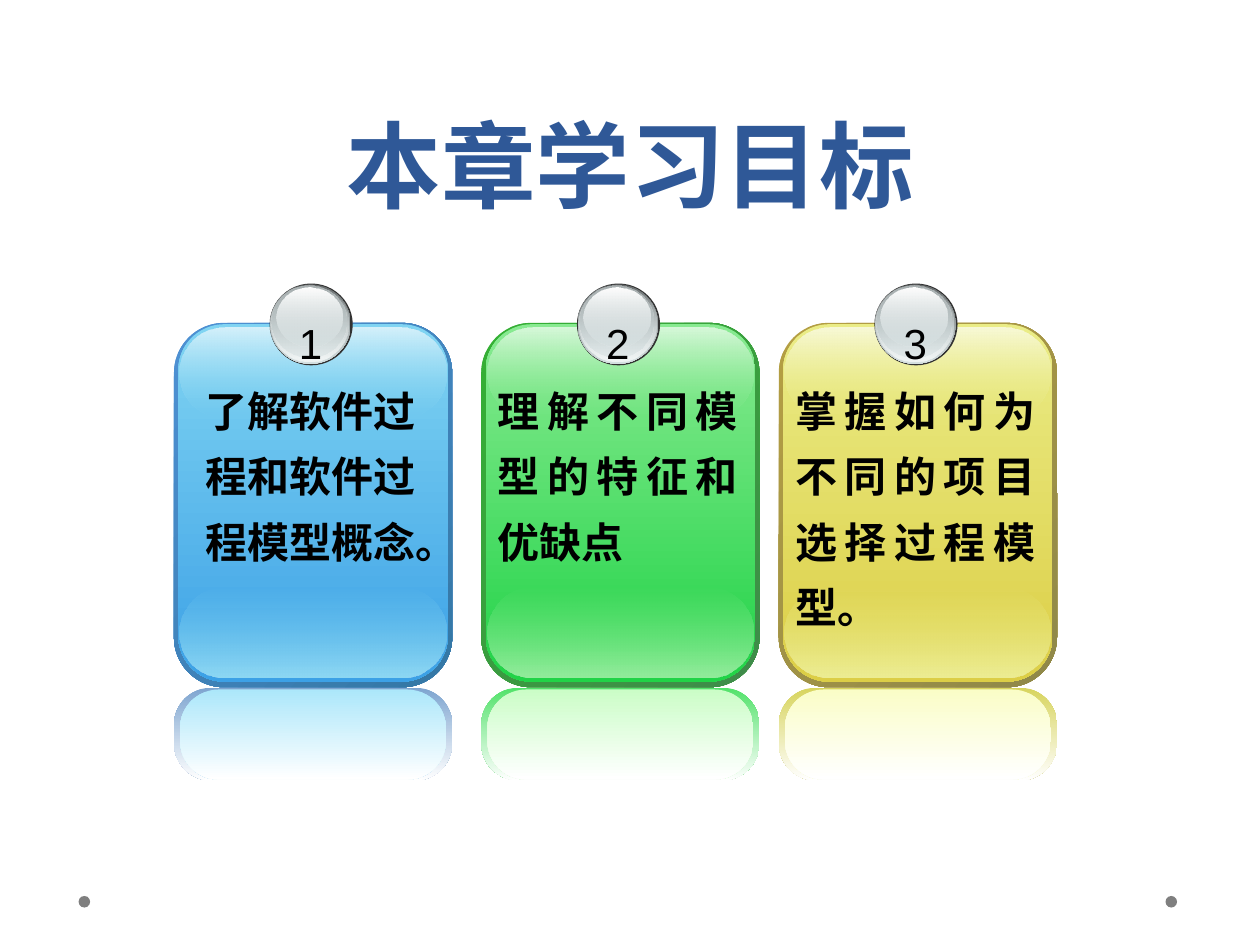
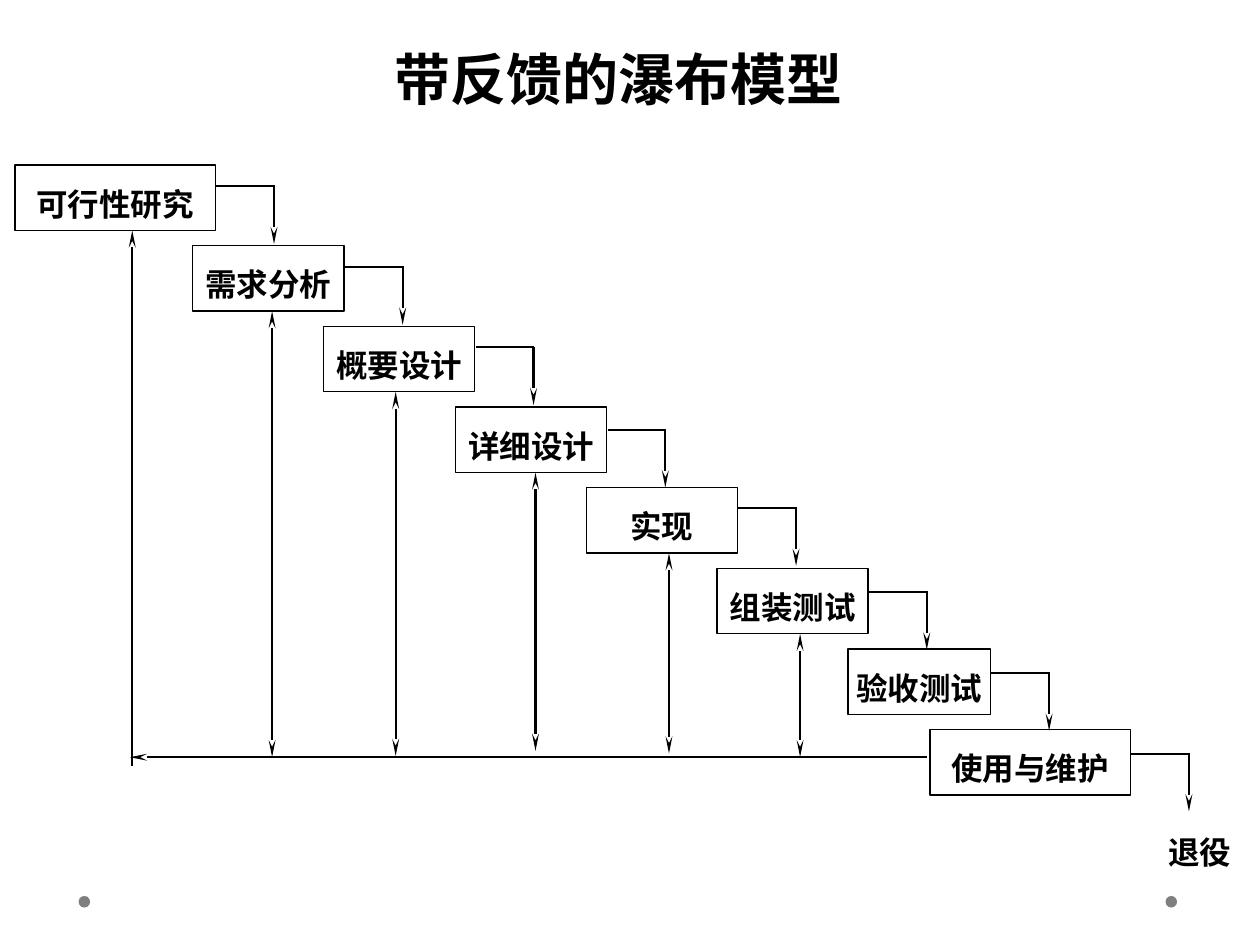
from typing import NamedTuple

from lxml import etree
from pptx import Presentation
from pptx.dml.color import RGBColor
from pptx.enum import shapes, text
from pptx.oxml.ns import qn
from pptx.util import Pt

WHITE = RGBColor(0xFF, 0xFF, 0xFF)
BLACK = RGBColor(0, 0, 0)
NAVY = RGBColor(0x2F, 0x58, 0x97)
GREY = RGBColor(0x7F, 0x7F, 0x7F)
RIM = RGBColor(0x33, 0x33, 0x33)
STEEL = RGBColor(0x63, 0x68, 0x69)
ASH = RGBColor(0xAA, 0xB2, 0xB3)
MIST = RGBColor(0xD6, 0xE1, 0xE2)
PEARL = RGBColor(0xF1, 0xF5, 0xF5)

ROUND = shapes.MSO_SHAPE.ROUNDED_RECTANGLE
OVAL = shapes.MSO_SHAPE.OVAL
RECT = shapes.MSO_SHAPE.RECTANGLE
LEFT, MID, JUST = (text.PP_ALIGN.LEFT, text.PP_ALIGN.CENTER,
                   text.PP_ALIGN.JUSTIFY)
SERIF = "Times New Roman"


class Box(NamedTuple):
    left: float
    top: float
    wide: float
    high: float

    def move(self, dx: float, dy: float = 0) -> "Box":
        return self._replace(left=self.left + dx, top=self.top + dy)

    def size(self) -> list:
        return [Pt(round(v, 2)) for v in self]


class Blend(NamedTuple):
    """Two-colour gradient; alphas in percent, angle clockwise."""
    start: RGBColor
    end: RGBColor
    clear: tuple = (100, 100)
    angle: int = 90


class Style(NamedTuple):
    size: float
    font: str
    color: RGBColor = BLACK
    bold: bool = True
    align: text.PP_ALIGN = MID
    space: float | Pt = 1.3


class Card(NamedTuple):
    left: float
    words: str
    font: str
    align: text.PP_ALIGN
    edge: tuple
    face: tuple
    foot: RGBColor
    shine: RGBColor
    echo: tuple


class Stage(NamedTuple):
    """One step; back and end place its feedback line."""
    name: str
    left: float
    wide: float
    drop: float
    back: float = 0
    end: float = 0


def tint(*codes: str) -> tuple:
    return tuple(RGBColor.from_string(c) for c in codes)


CARDS = [
    Card(99.4, "了解软件过程和软件过程模型概念。", "Noto Sans CJK SC", MID,
         tint("4E91D4", "3477A4"), tint("80D4F2", "3CA1E6"),
         *tint("8FD9F4", "D5F1FB"), tint("7EA5D0", "ACE7FA")),
    Card(275, "理解不同模型的特征和优缺点", "Courier New", JUST,
         tint("34B034", "3F8B4A"), tint("88EA91", "21D347"),
         *tint("96ED9E", "D7F8DA"), tint("52E26A", "CBFDC7")),
    Card(445, "掌握如何为不同的项目选择过程模型。", "Courier New", JUST,
         tint("B59F43", "8F8849"), tint("EAEC86", "DCCE46"),
         *tint("EDEE95", "F8F9D7"), tint("D7D45D", "FAFDC7")),
]

BALL = [
    (Box(54.7, 162, 47.5, 46.8), RIM),
    (Box(55, 162.5, 46, 45.4), Blend(STEEL, MIST)),
    (Box(55.4, 162.7, 44.6, 44), Blend(MIST, PEARL, (0, 100))),
    (Box(56, 163.3, 42.5, 41), Blend(ASH, MIST, (100, 48))),
    (Box(58.4, 164.2, 38, 34), Blend(WHITE, MIST, (100, 38))),
]

STAGES = [
    Stage("可行性研究", 8.6, 114.5, 12.2, 75.6, 437.8),
    Stage("需求分析", 110.2, 86.4, 12.2, 155.5, 432.7),
    Stage("概要设计", 185, 86.4, 12, 226.1, 432),
    Stage("详细设计", 260.3, 86.4, 13, 306, 429.1),
    Stage("实现", 335, 86.4, 11.7, 382.3, 430.6),
    Stage("组装测试", 409.7, 86.4, 13.5, 457.2, 432.7),
    Stage("验收测试", 484.6, 81.4, 13.7),
    Stage("使用与维护", 531.4, 114.5, 13.7),
]
TOP, STEP, HIGH = 94.3, 46.1, 37.4


def paint(shape, fill: RGBColor | Blend) -> None:
    if isinstance(fill, RGBColor):
        shape.fill.solid()
        shape.fill.fore_color.rgb = fill
        return
    shape.fill.gradient()
    shape.fill.gradient_angle = 360 - fill.angle
    for stop, color in zip(shape.fill.gradient_stops, fill[:2]):
        stop.color.rgb = color
    tags = shape._element.spPr.iter(qn("a:srgbClr"))
    for tag, clear in zip(list(tags), fill.clear):
        if clear < 100:
            etree.SubElement(tag, qn("a:alpha")).set("val", str(clear * 1000))


def draw(slide, kind, box: Box, fill=None, curve: float | None = None):
    shape = slide.shapes.add_shape(kind, *box.size())
    shape.shadow.inherit = False
    shape.line.fill.background()
    if fill is None:
        shape.fill.background()
    else:
        paint(shape, fill)
    if curve is not None:
        shape.adjustments[0] = curve
    return shape


def write(shape, words: str, style: Style, inset: tuple = (0, 0),
          anchor=text.MSO_ANCHOR.TOP, wrap: bool = True) -> None:
    frame = shape.text_frame
    frame.text = words
    frame.word_wrap = wrap
    frame.auto_size = text.MSO_AUTO_SIZE.NONE
    frame.vertical_anchor = anchor
    frame.margin_left = frame.margin_right = Pt(inset[0])
    frame.margin_top = frame.margin_bottom = Pt(inset[1])
    para = frame.paragraphs[0]
    para.alignment = style.align
    para.line_spacing = style.space
    font = para.font
    font.size, font.name, font.bold = Pt(style.size), style.font, style.bold
    font.color.rgb = style.color


def label(slide, box: Box, words: str, style: Style, **more) -> None:
    write(slide.shapes.add_textbox(*box.size()), words, style, **more)


def line(slide, x1: float, y1: float, x2: float, y2: float,
         *ends: str) -> None:
    """Straight line; ends may hold headEnd and tailEnd."""
    points = [Pt(round(v, 2)) for v in (x1, y1, x2, y2)]
    link = slide.shapes.add_connector(shapes.MSO_CONNECTOR.STRAIGHT, *points)
    link.line.width = Pt(1.25)
    link.line.color.rgb = BLACK
    for end in ends:
        tip = etree.SubElement(link.line._get_or_add_ln(), qn(f"a:{end}"))
        tip.set("type", "stealth")
        tip.set("w", "sm")
        tip.set("len", "lg")
    etree.SubElement(link._element.spPr, qn("a:effectLst"))


def start(deck, title: str, box: Box, style: Style, anchor):
    """Add a slide with its title and the two footer dots."""
    slide = deck.slides.add_slide(deck.slide_layouts[5])
    for left in (666, 44.9):
        draw(slide, OVAL, Box(left, 512, 6.6, 6.6), GREY)
    head = slide.shapes.title
    head.left, head.top, head.width, head.height = box.size()
    write(head, title, style, anchor=anchor)
    return slide


def card(slide, item: Card, number: int) -> None:
    x = item.left
    pale, deep = item.face
    gloss = Box(x + 3.5, 187, 152, 51.5)
    draw(slide, ROUND, Box(x, 393, 159, 53), Blend(item.echo[0], WHITE), 0.4)
    draw(slide, ROUND, Box(x, 184.5, 159, 208.2),
         Blend(*item.edge, angle=45), 0.18)
    draw(slide, ROUND, Box(x + 2.5, 185.3, 154, 204.2),
         Blend(pale, deep), 0.17)
    draw(slide, ROUND, gloss.move(0, 148.5),
         Blend(pale, item.foot, (0, 100)), 0.5)
    draw(slide, ROUND, gloss, Blend(item.shine, pale, (100, 0)), 0.5)
    draw(slide, ROUND, gloss.move(0, 207), Blend(item.echo[1], WHITE), 0.43)
    for box, fill in BALL:
        draw(slide, OVAL, box.move(x), fill)
    label(slide, Box(x + 64.3, 169.2, 27.4, 44.6), str(number),
          Style(24, "Arial", bold=False), inset=(7.2, 3.6), wrap=False)
    label(slide, Box(x + 2.4, 208, 151.2, 157), item.words,
          Style(24, item.font, align=item.align), inset=(7.2, 3.6))


def goals(deck) -> None:
    slide = start(deck, "本章学习目标", Box(36, 0, 648, 126),
                  Style(54, "Cabin", NAVY, space=Pt(58)),
                  text.MSO_ANCHOR.BOTTOM)
    for number, item in enumerate(CARDS, 1):
        card(slide, item, number)


def flow(deck) -> None:
    slide = start(deck, "带反馈的瀑布模型", Box(146.2, 13.7, 414.7, 43.2),
                  Style(32, SERIF), text.MSO_ANCHOR.TOP)
    style = Style(18, SERIF)
    middle = text.MSO_ANCHOR.MIDDLE
    for i, stage in enumerate(STAGES):
        box = Box(stage.left, TOP + i * STEP, stage.wide, HIGH)
        step = draw(slide, RECT, box)
        step.line.color.rgb = BLACK
        step.line.width = Pt(0.75)
        write(step, stage.name, style, anchor=middle)
        right, y = box.left + box.wide + 0.5, box.top + stage.drop
        line(slide, right, y, right + 33, y)
        line(slide, right + 33, y - 0.5, right + 33, y + 33, "tailEnd")
        if stage.back:
            ends = ("headEnd", "tailEnd") if i else ("headEnd",)
            line(slide, stage.back, box.top + HIGH, stage.back, stage.end,
                 *ends)
    line(slide, 74.2, 432.7, 530, 432.7, "headEnd")
    label(slide, Box(660.2, 469.4, 51, 28), "退役", style, anchor=middle)


def main() -> None:
    deck = Presentation()
    deck.slide_width, deck.slide_height = Pt(720), Pt(540)
    goals(deck)
    flow(deck)
    deck.save("out.pptx")


if __name__ == "__main__":
    main()
